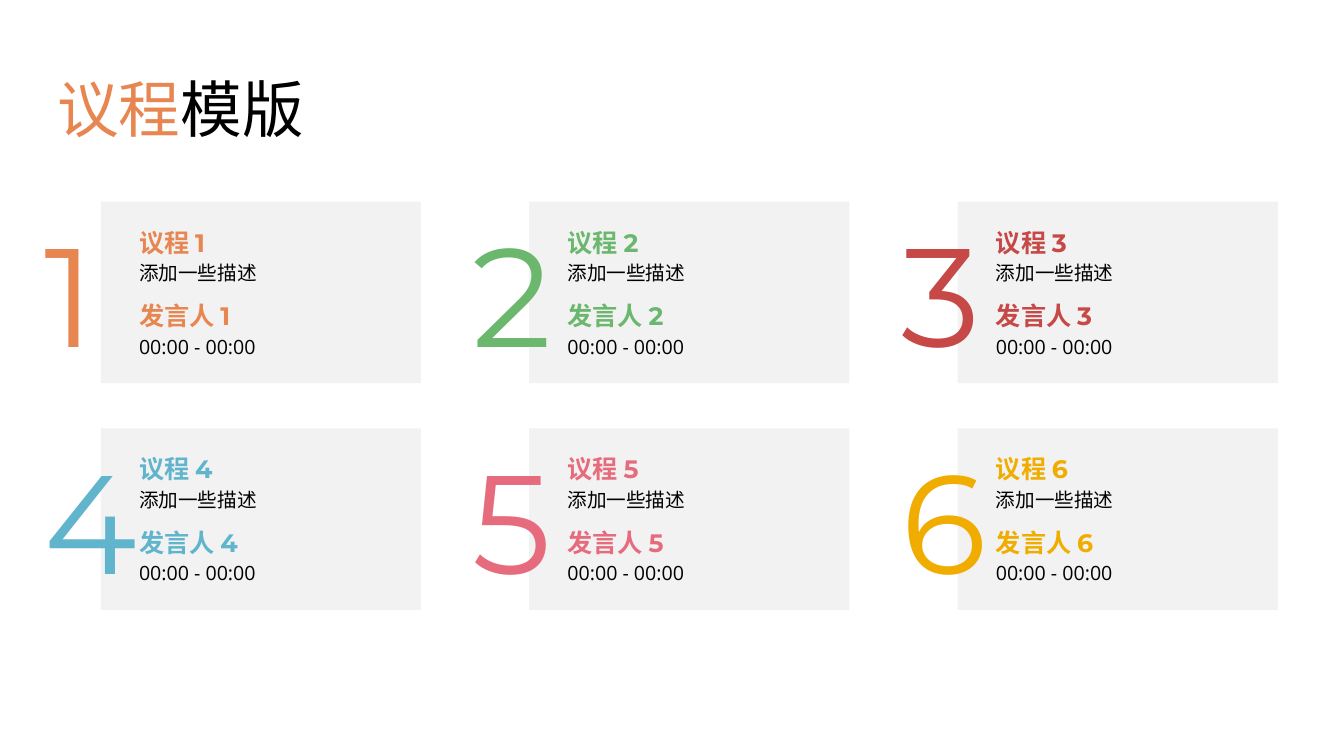
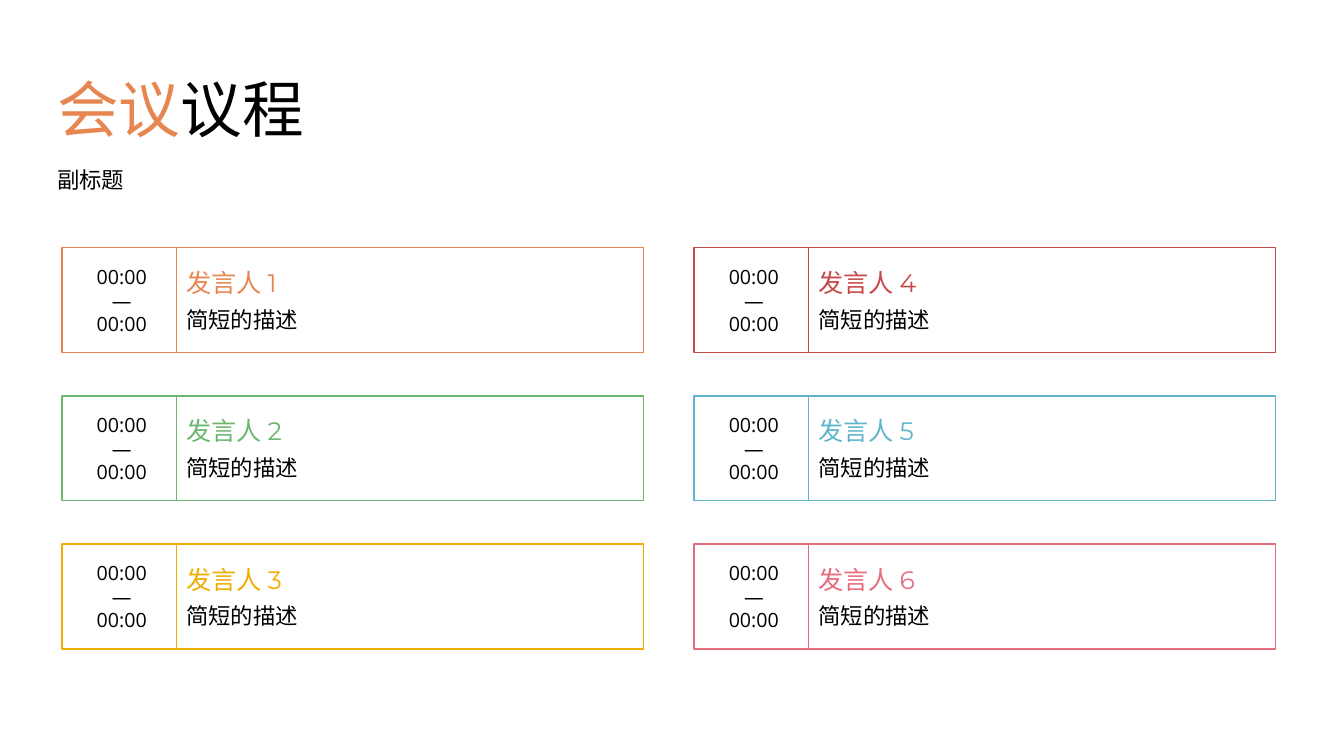
from dataclasses import dataclass

from pptx import Presentation
from pptx.dml.color import RGBColor
from pptx.enum.shapes import MSO_SHAPE
from pptx.enum.text import MSO_ANCHOR, MSO_AUTO_SIZE, PP_ALIGN
from pptx.util import Pt

RECT = MSO_SHAPE.RECTANGLE
LEFT, CENTER = PP_ALIGN.LEFT, PP_ALIGN.CENTER
TOP, MIDDLE = MSO_ANCHOR.TOP, MSO_ANCHOR.MIDDLE
NO_FIT = MSO_AUTO_SIZE.NONE
TITLE_ONLY = 5
SCALE = 9525  # EMU in one px, 96 px to the inch


@dataclass(frozen=True)
class Theme:
    ink: str = "000000"
    paper: str = "FFFFFF"
    panel: str = "F2F2F2"
    orange: str = "E88651"
    green: str = "6BB76D"
    red: str = "C64847"
    blue: str = "60B5CC"
    pink: str = "E66C7D"
    gold: str = "F0AD00"
    head: str = "Montserrat"
    body: str = "Open Sans"
    title: int = 44
    digit: int = 100
    label: int = 18
    note: int = 16
    small: int = 14


T = Theme()
TITLE = {"name": T.head, "size": Pt(T.title), "bold": False}
DIGIT = {"name": T.head, "size": Pt(T.digit)}
LABEL = {"name": T.head, "size": Pt(T.label), "bold": False}
STRONG = {**LABEL, "bold": True}
NOTE = {"name": T.body, "size": Pt(T.note), "bold": False}
SMALL = {"name": T.body, "size": Pt(T.small), "bold": False}


def px(*values):
    return [value * SCALE for value in values]


def rgb(code):
    return RGBColor.from_string(code)


def add_run(para, text, style, color):
    run = para.add_run()
    run.text = text
    for name, value in style.items():
        setattr(run.font, name, value)
    run.font.color.rgb = rgb(color)


def write(shape, lines, align=LEFT, anchor=MIDDLE, indent=0):
    """Fill a shape with lines of (text, style, color, points before)."""
    frame = shape.text_frame
    frame.word_wrap = True
    frame.vertical_anchor = anchor
    for i, (text, style, color, gap) in enumerate(lines):
        para = frame.add_paragraph() if i else frame.paragraphs[0]
        para.alignment = align
        para.space_before = Pt(gap)
        if indent:
            para._p.get_or_add_pPr().set("marL", str(indent * SCALE))
        add_run(para, text, style, color)


def add_rect(shapes, box, fill, line=None):
    rect = shapes.add_shape(RECT, *px(*box))
    rect.shadow.inherit = False
    rect.fill.solid()
    rect.fill.fore_color.rgb = rgb(fill)
    if line:
        rect.line.color.rgb = rgb(line)
        rect.line.width = Pt(1)
    else:
        rect.line.fill.background()
    return rect


def add_slide(deck, accent, rest):
    """Add a slide whose title opens with an accented word."""
    slide = deck.slides.add_slide(deck.slide_layouts[TITLE_ONLY])
    title = slide.shapes.title
    title.left, title.top, title.width, title.height = px(45, 38, 1104, 139)
    frame = title.text_frame
    frame.auto_size = NO_FIT
    frame.vertical_anchor = MIDDLE
    para = frame.paragraphs[0]
    para.alignment = LEFT
    para.line_spacing = 0.9
    add_run(para, accent, TITLE, T.orange)
    add_run(para, rest, TITLE, T.ink)
    return slide


def add_card(slide, box, num, color):
    """Panel with a large digit that hangs over its left side."""
    x, y, w, h = box
    group = slide.shapes.add_group_shape().shapes
    panel = add_rect(group, box, T.panel)
    write(panel, [
        (f"议程 {num}", STRONG, color, 0),
        ("添加一些描述", SMALL, T.ink, 2.8),
        (f"发言人 {num}", STRONG, color, 11.3),
        ("00:00 - 00:00", SMALL, T.ink, 2.8),
    ], indent=27)
    digit = group.add_textbox(*px(x - 63, y + 1, 91, h - 3))
    write(digit, [(str(num), DIGIT, color, 0)], anchor=TOP)


def add_slot(slide, box, num, color):
    """Time cell, then the speaker cell that covers its right edge."""
    x, y, w, h = box
    split = 109
    time = add_rect(slide.shapes, (x, y, split + 5, h), T.paper, color)
    write(time, [(text, SMALL, T.ink, 0) for text in ("00:00", "—", "00:00")],
          align=CENTER)
    talk = add_rect(slide.shapes, (x + split, y, w - split, h), T.paper, color)
    write(talk, [
        (f"发言人 {num}", LABEL, color, 0),
        ("简短的描述", NOTE, T.ink, 5.7),
    ])


def build_cards(deck):
    slide = add_slide(deck, "议程", "模版")
    colors = (T.orange, T.green, T.red, T.blue, T.pink, T.gold)
    for i, color in enumerate(colors):
        row, col = divmod(i, 3)
        add_card(slide, (96 + 408 * col, 192 + 216 * row, 305, 173),
                 i + 1, color)


def build_slots(deck):
    slide = add_slide(deck, "会议", "议程")
    sub = slide.shapes.add_textbox(*px(45, 156, 586, 33))
    write(sub, [("副标题", NOTE, T.ink, 0)])
    sub.text_frame.paragraphs[0].line_spacing = 0.9
    colors = (T.orange, T.green, T.gold, T.red, T.blue, T.pink)
    for i, color in enumerate(colors):
        col, row = divmod(i, 3)
        add_slot(slide, (59 + 602 * col, 236 + 141 * row, 554, 100),
                 i + 1, color)


def main():
    deck = Presentation()
    deck.slide_width, deck.slide_height = px(1280, 720)
    build_cards(deck)
    build_slots(deck)
    deck.save("out.pptx")


if __name__ == "__main__":
    main()
